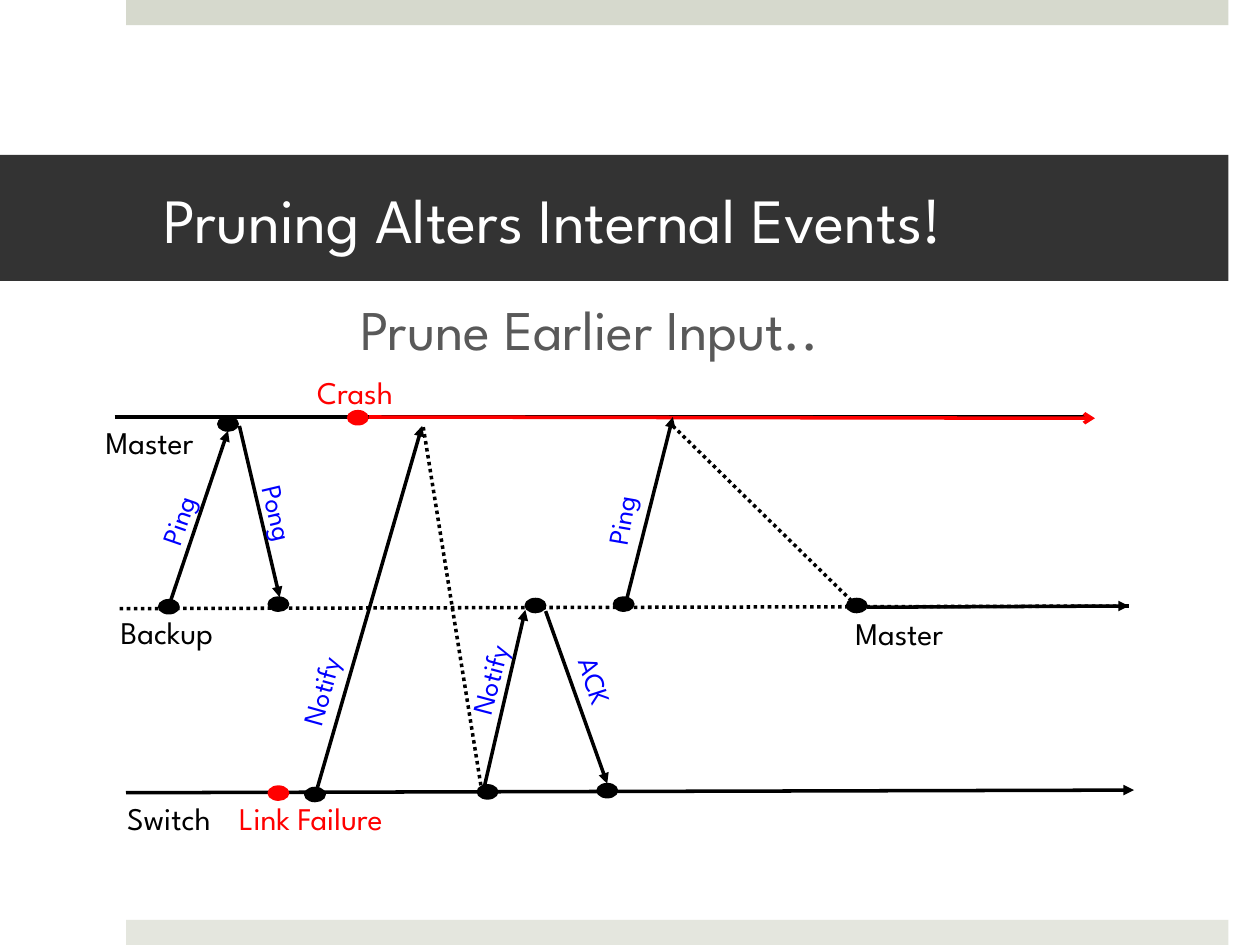
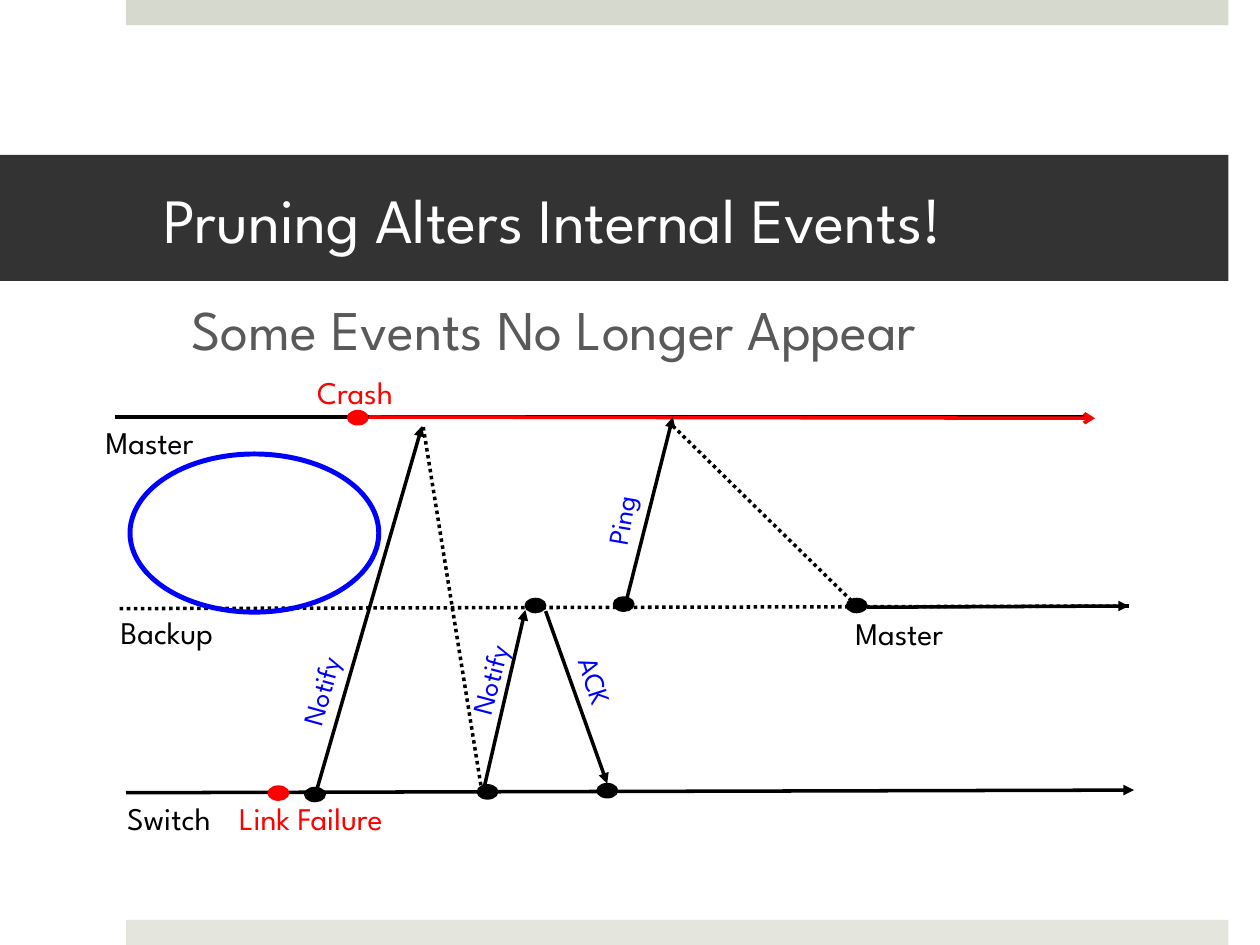
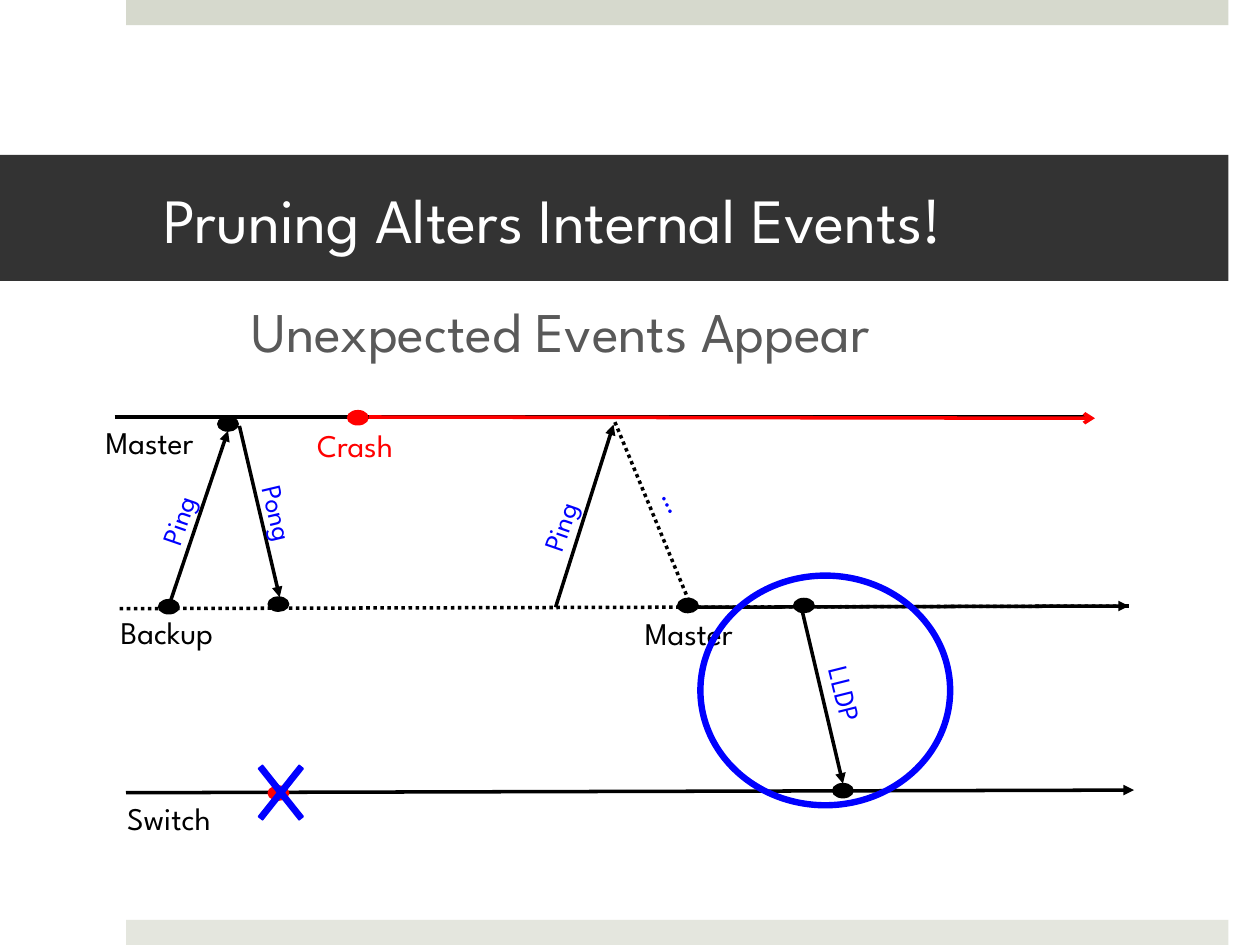
from collections import namedtuple

from lxml.etree import SubElement
from pptx import Presentation
from pptx.dml.color import RGBColor
from pptx.enum.dml import MSO_LINE
from pptx.enum.shapes import MSO_CONNECTOR as Connector, MSO_SHAPE as Preset
from pptx.enum.text import MSO_ANCHOR as Anchor, MSO_AUTO_SIZE as AutoSize, PP_ALIGN as Align
from pptx.oxml.ns import qn
from pptx.util import Pt

BLACK, RED, BLUE, WHITE = "000000", "FF0000", "0000FF", "FFFFFF"
TITLE_FILL, SUBTITLE_GREY = "333333", "595959"
TOP_BAND, BOTTOM_BAND = "D6D9CD", "E4E6DE"
FONT = "League Spartan"
TITLE = "Pruning Alters Internal Events!"

Box = namedtuple("Box", "left top width height")
Message = namedtuple("Message", "text start end label_center label_width tilt dots")

SLIDE = Box(0, 0, 720, 540)
TITLE_BOX = Box(0, 88.5, 702, 72)
DIAGRAM = Box(72, 238, 576, 240)
LABEL_HEIGHT, MESSAGE_HEIGHT = 28.8, 26.6
DOT_WIDTH, DOT_HEIGHT = 11.5, 7.9

# Points inside the diagram, measured from its top left corner.
PING = Message("Ping", (24.5, 108.3), (58.3, 8.2), (30.6, 56.8), 48, -70.9,
               [(58.3, 4.3), (24.5, 108.7)])
PONG = Message("Pong", (64.8, 5.4), (87.8, 103.3), (88.2, 59.7), 55.4, 76.7,
               [(87.1, 107.2)])
LATE_PING = Message("Ping", (284.4, 111.2), (312.5, 0.3), (283.3, 56.8), 48, -80.2,
                    [(284.4, 107.2)])
LOST_NOTIFY = Message("Notify", (109.4, 212), (169.2, 5.4), (112, 154), 59.8, -74.4,
                      [(108, 216)])
NOTIFY = Message("Notify", (204.5, 212.7), (228.2, 110.5), (208.4, 147.6), 59.8, -75.2,
                 [(234, 108), (206.6, 214.5)])
ACK = Message("ACK", (239.8, 111.2), (275, 209.8), (269.3, 154.8), 49, 72,
              [(275, 213.8)])
UNANSWERED_PING = Message("Ping", (245.5, 109), (278.6, 4.6), (248.8, 60.4), 48, -70.9, [])
LLDP = Message("LLDP", (386.6, 111.9), (409.7, 209.8), (411.5, 161.2), 51, 76,
               [(409.7, 213.8), (387.4, 108)])

HANDSHAKE = [PING, PONG]
FAILOVER = [LATE_PING, LOST_NOTIFY, NOTIFY, ACK]


def color(value):
    return RGBColor.from_string(value)


def inside(box, left, top, width, height):
    """Return the box whose left and top are measured from another box."""
    return Box(box.left + left, box.top + top, width, height)


def lengths(box):
    return [Pt(value) for value in box]


def add_preset(slide, preset, box, fill, line=None, adjustment=None):
    shape = slide.shapes.add_shape(preset, *lengths(box))
    shape.shadow.inherit = False
    shape.fill.solid()
    shape.fill.fore_color.rgb = color(fill)
    if line:
        shape.line.color.rgb = color(line)
        shape.line.width = Pt(1)
    else:
        shape.line.fill.background()
    if adjustment is not None:
        shape.adjustments[0] = adjustment
    return shape


def write(shape, text, size, text_color, **frame_format):
    frame = shape.text_frame
    for name, value in frame_format.items():
        setattr(frame, name, value)
    paragraph = frame.paragraphs[0]
    paragraph.alignment = Align.LEFT
    run = paragraph.add_run()
    run.text = text
    for name, value in {"name": FONT, "size": Pt(size)}.items():
        setattr(run.font, name, value)
    run.font.color.rgb = color(text_color)


def add_label(slide, text, box, size=18, text_color=BLACK, tilt=0):
    label = slide.shapes.add_textbox(*lengths(box))
    write(label, text, size, text_color, word_wrap=False,
          auto_size=AutoSize.SHAPE_TO_FIT_TEXT)
    label.rotation = tilt


def add_line(slide, box, start, end, line_color=BLACK, dotted=False, arrow=None):
    x_y = [Pt(value) for x, y in (start, end) for value in (box.left + x, box.top + y)]
    connector = slide.shapes.add_connector(Connector.STRAIGHT, *x_y)
    connector.line.color.rgb = color(line_color)
    connector.line.width = Pt(2)
    if dotted:
        connector.line.dash_style = MSO_LINE.ROUND_DOT
    properties = connector._element.spPr
    if arrow:
        SubElement(properties.find(qn("a:ln")), qn("a:tailEnd"), type=arrow)
    SubElement(properties, qn("a:effectLst"))


def add_dot(slide, box, center, fill=BLACK):
    x, y = center
    dot = inside(box, x - DOT_WIDTH / 2, y - DOT_HEIGHT / 2, DOT_WIDTH, DOT_HEIGHT)
    add_preset(slide, Preset.OVAL, dot, fill, fill)


def add_message(slide, box, message):
    add_line(slide, box, message.start, message.end, arrow="triangle")
    for center in message.dots:
        add_dot(slide, box, center)
    add_message_label(slide, box, message.text, message.label_center,
                      message.label_width, message.tilt)


def add_message_label(slide, box, text, center, width, tilt):
    x, y = center
    label = inside(box, x - width / 2, y - MESSAGE_HEIGHT / 2, width, MESSAGE_HEIGHT)
    add_label(slide, text, label, 16, BLUE, tilt)


def add_bands(slide, box):
    for top, fill in ((0, TOP_BAND), (box.height - 14.4, BOTTOM_BAND)):
        add_preset(slide, Preset.RECTANGLE, inside(box, 72, top, 630, 14.4), fill)


def add_title(slide, box):
    title = add_preset(slide, Preset.RECTANGLE, box, TITLE_FILL)
    write(title, TITLE, 36, WHITE, word_wrap=True, vertical_anchor=Anchor.MIDDLE,
          margin_left=Pt(93.6), margin_right=Pt(21.6))


def add_subtitle(slide, box, text, left, top):
    subtitle = slide.shapes.add_textbox(
        *lengths(inside(box, left, top, box.width - left, 72)))
    write(subtitle, text, 32, SUBTITLE_GREY, word_wrap=True)


def add_timelines(slide, box, crash_top, takeover):
    """Draw the three time axes, the crash and the point where the backup takes over."""
    add_line(slide, box, (0, 215), (576, 213.5), arrow="triangle")
    add_line(slide, box, (-6.5, 0.3), (549.4, 0.3))
    add_line(slide, box, (-3.6, 109.8), (573.1, 108.3), dotted=True, arrow="triangle")
    add_line(slide, box, (139, 0.3), (553.7, 1), RED, arrow="arrow")
    add_line(slide, box, (takeover + 5.8, 109), (573.1, 108.3))
    add_dot(slide, box, (takeover, 108))
    add_dot(slide, box, (132.5, 0.7), RED)
    add_dot(slide, box, (87.1, 215.2), RED)
    for text, left, top, width, text_color in (
            ("Master", -18.7, 0.3, 74.2, BLACK),
            ("Backup", -10.1, 109, 82, BLACK),
            ("Switch", -6.5, 215, 71.3, BLACK),
            ("Crash", 102.2, crash_top, 65.5, RED),
            ("Master", takeover - 7.9 if takeover > 400 else takeover - 31.7,
             109.4, 74.2, BLACK)):
        add_label(slide, text, inside(box, left, top, width, LABEL_HEIGHT),
                  text_color=text_color)


def add_failover(slide, box, messages):
    """Draw a run with the link failure, in which the backup takes over late."""
    add_timelines(slide, box, -28.5, 417.6)
    for start, end in (((169.9, 6.1), (203, 212)), ((312.5, 5.4), (417.6, 108.3))):
        add_line(slide, box, start, end, dotted=True)
    add_label(slide, "Link Failure", inside(box, 57.6, 215, 108.7, LABEL_HEIGHT),
              text_color=RED)
    for message in messages:
        add_message(slide, box, message)


def add_pruned_run(slide, box):
    """Draw the run without the link failure, in which the backup takes over early."""
    add_timelines(slide, box, 1.8, 321.1)
    add_line(slide, box, (279.4, 3.2), (321.1, 104), dotted=True)
    add_message_label(slide, box, "…", (315, 50.4), 31, 64.3)
    for message in HANDSHAKE + [UNANSWERED_PING, LLDP]:
        add_message(slide, box, message)
    add_preset(slide, Preset.MATH_MULTIPLY, inside(box, 66.2, 186.8, 44.6, 56.2),
               BLUE, BLUE, 0.065)


def add_ring(slide, box):
    add_preset(slide, Preset.DONUT, box, BLUE, BLUE, 0.02)


def add_slide(presentation, subtitle, left, top=165):
    slide = presentation.slides.add_slide(presentation.slide_layouts[6])
    add_bands(slide, SLIDE)
    add_title(slide, TITLE_BOX)
    add_subtitle(slide, SLIDE, subtitle, left, top)
    return slide


def main():
    presentation = Presentation()
    presentation.slide_width, presentation.slide_height = Pt(SLIDE.width), Pt(SLIDE.height)

    slide = add_slide(presentation, "Prune Earlier Input..", 198.7)
    add_failover(slide, DIAGRAM, HANDSHAKE + FAILOVER)

    slide = add_slide(presentation, "Some Events No Longer Appear", 102.2)
    add_failover(slide, DIAGRAM, FAILOVER)
    add_ring(slide, inside(DIAGRAM, 1.4, 20.5, 144, 92.2))

    slide = add_slide(presentation, "Unexpected Events Appear", 136.8, 165.8)
    add_pruned_run(slide, DIAGRAM)
    add_ring(slide, inside(DIAGRAM, 326.9, 89.6, 145.4, 133.9))

    presentation.save("out.pptx")


if __name__ == "__main__":
    main()
